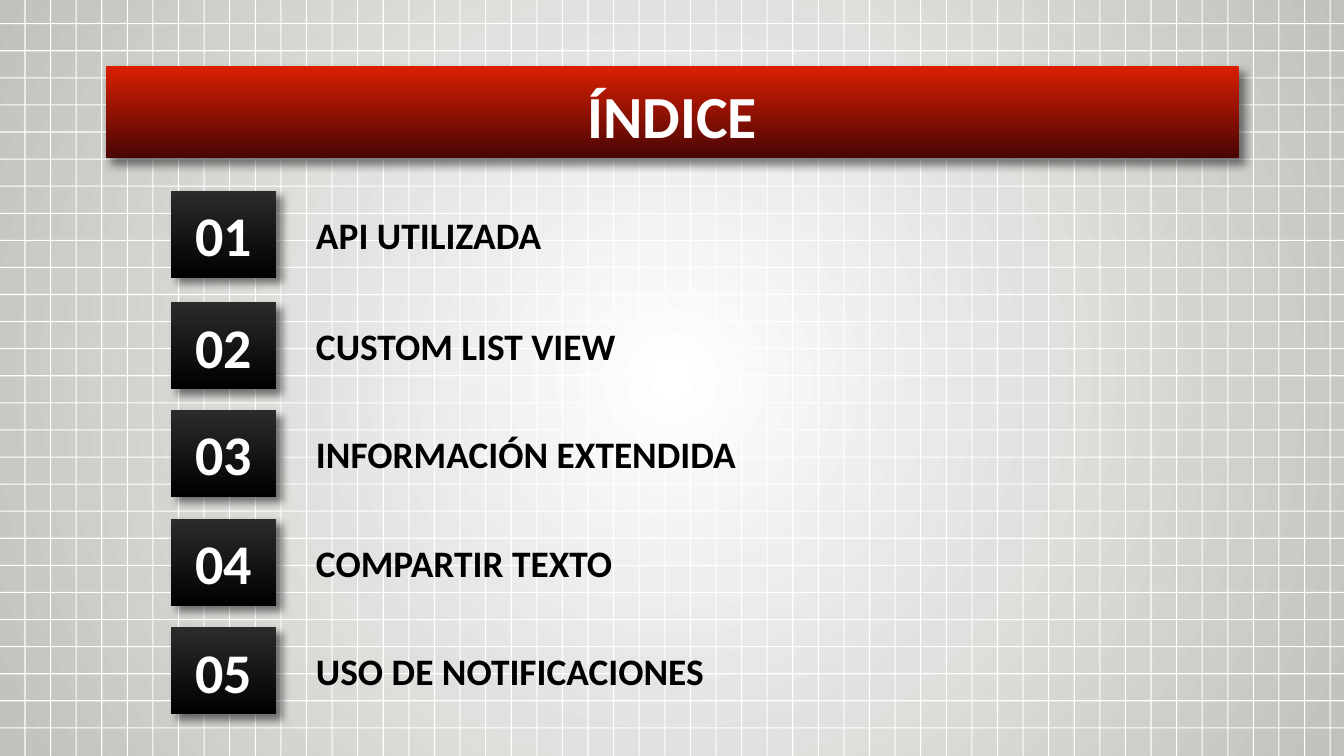
from lxml import etree
from pptx import Presentation
from pptx.dml.color import RGBColor
from pptx.enum.shapes import MSO_SHAPE
from pptx.enum.text import MSO_ANCHOR, MSO_AUTO_SIZE, PP_ALIGN
from pptx.oxml.ns import qn
from pptx.util import Pt

RECTANGLE = MSO_SHAPE.RECTANGLE
TOP, MIDDLE, BOTTOM = MSO_ANCHOR.TOP, MSO_ANCHOR.MIDDLE, MSO_ANCHOR.BOTTOM
LEFT, CENTER = PP_ALIGN.LEFT, PP_ALIGN.CENTER
NO_AUTO_SIZE = MSO_AUTO_SIZE.NONE

WHITE = RGBColor(0xFF, 0xFF, 0xFF)
BLACK = RGBColor(0x00, 0x00, 0x00)
CHARCOAL = RGBColor(0x2B, 0x2B, 0x2B)
RED = RGBColor(0xDB, 0x1F, 0x02)
DARK_RED = RGBColor(0x49, 0x05, 0x04)
WARM_GRAY = RGBColor(0xC2, 0xC0, 0xBC)

FONT = "Calibri"
INSET = Pt(7.2)
GRID_LINE = 0.6

# Row top and label width
ENTRIES = [
    ("API UTILIZADA", 102.2, 281.5),
    ("CUSTOM LIST VIEW", 162, 281.5),
    ("INFORMACIÓN EXTENDIDA", 219.6, 315.4),
    ("COMPARTIR TEXTO", 277.9, 281.5),
    ("USO DE NOTIFICACIONES", 336.2, 281.5),
]


def fill_gradient(fill, start, end):
    fill.gradient()
    for stop, color in zip(fill.gradient_stops, (start, end)):
        stop.color.rgb = color


def add_shadow(shape, angle):
    shape.shadow.inherit = False
    effects = shape.element.spPr.find(qn("a:effectLst"))
    shadow = etree.SubElement(
        effects, qn("a:outerShdw"), blurRad=str(Pt(4.5)), dist=str(Pt(4.5)),
        dir=str(angle * 60000), algn="bl", rotWithShape="0")
    color = etree.SubElement(shadow, qn("a:srgbClr"), val=str(BLACK))
    etree.SubElement(color, qn("a:alpha"), val="50000")


def style_panel(shape, start, end, shadow_angle):
    fill_gradient(shape.fill, start, end)
    shape.fill.gradient_angle = 270
    shape.line.fill.background()
    add_shadow(shape, shadow_angle)


def write_text(shape, text, size, color, alignment, anchor):
    frame = shape.text_frame
    frame.text = text
    frame.word_wrap = True
    frame.auto_size = NO_AUTO_SIZE
    frame.vertical_anchor = anchor
    frame.margin_left = frame.margin_right = INSET
    frame.margin_top = frame.margin_bottom = INSET
    paragraph = frame.paragraphs[0]
    paragraph.alignment = alignment
    paragraph.space_before = Pt(0)
    paragraph.font.name = FONT
    paragraph.font.size = Pt(size)
    paragraph.font.bold = True
    paragraph.font.color.rgb = color


def set_background(slide):
    """Radial gradient, light in the centre."""
    fill_gradient(slide.background.fill, WHITE, WARM_GRAY)
    gradient = slide.element.find(".//" + qn("a:gradFill"))
    gradient.remove(gradient.find(qn("a:lin")))
    radial = etree.SubElement(gradient, qn("a:path"), path="circle")
    etree.SubElement(radial, qn("a:fillToRect"), l="50000", t="50000",
                     r="50000", b="50000")


def add_grid(slide, left, top, width, height):
    group = slide.shapes.add_group_shape()
    columns = [(13.1 + 13.71 * index, top, GRID_LINE, height)
               for index in range(52)]
    rows = [(left, 12.4 + 14.51 * index, width, GRID_LINE)
            for index in range(27)]
    for box in columns + rows:
        line = group.shapes.add_shape(RECTANGLE, *map(Pt, box))
        line.fill.solid()
        line.fill.fore_color.rgb = WHITE
        line.line.fill.background()
        line.shadow.inherit = False
    # Keep the grid behind the title
    slide.shapes.title.element.addprevious(group.element)


def place_title(slide, left, top, width, height):
    title = slide.shapes.title
    title.left, title.top = Pt(left), Pt(top)
    title.width, title.height = Pt(width), Pt(height)
    style_panel(title, RED, DARK_RED, 52)
    write_text(title, "ÍNDICE", 32, WHITE, CENTER, TOP)


def add_entry(slide, number, text, left, top, label_width):
    badge = slide.shapes.add_shape(
        RECTANGLE, Pt(left), Pt(top), Pt(56.2), Pt(46.6))
    style_panel(badge, CHARCOAL, BLACK, 43)
    write_text(badge, f"{number:02d}", 30, WHITE, CENTER, MIDDLE)

    label = slide.shapes.add_textbox(
        Pt(left + 70.6), Pt(top + 4.3), Pt(label_width), Pt(38.2))
    write_text(label, text, 20, BLACK, LEFT, BOTTOM)


def main():
    presentation = Presentation()
    presentation.slide_width = Pt(720)
    presentation.slide_height = Pt(405)
    slide = presentation.slides.add_slide(presentation.slide_layouts[5])
    set_background(slide)
    add_grid(slide, -7.2, -2.2, 733, 407.5)
    place_title(slide, 56.9, 35.1, 606.7, 49.5)
    for number, (text, top, label_width) in enumerate(ENTRIES, start=1):
        add_entry(slide, number, text, 91.6, top, label_width)
    presentation.save("out.pptx")


if __name__ == "__main__":
    main()
